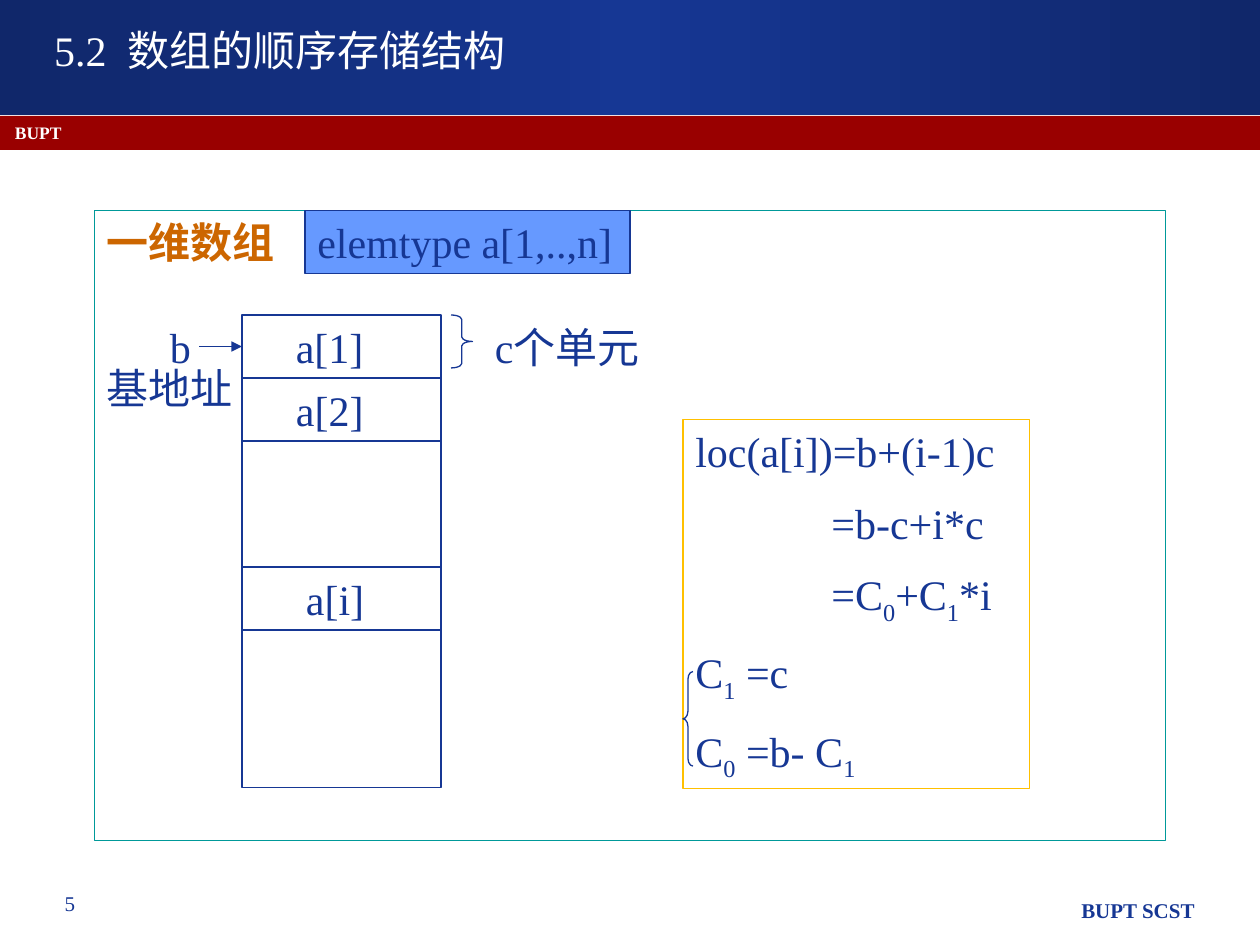
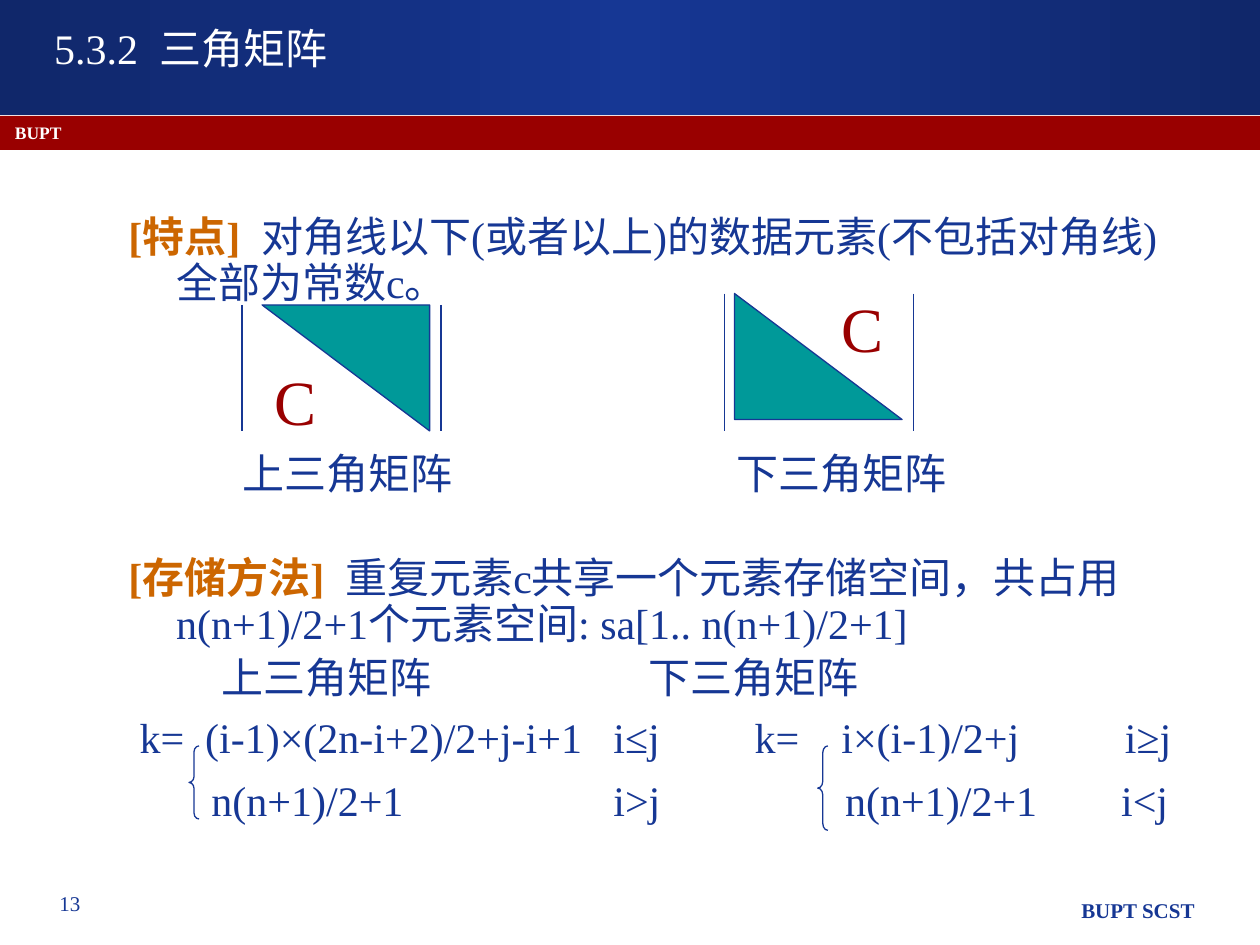
from copy import deepcopy
from lxml import etree
from pptx import Presentation
from pptx.dml.color import RGBColor
from pptx.enum.shapes import MSO_CONNECTOR, MSO_SHAPE
from pptx.enum.text import MSO_ANCHOR, PP_ALIGN
from pptx.oxml.ns import qn
from pptx.util import Inches, Pt

NAVY = RGBColor(0x10, 0x27, 0x6A)
BLUE = RGBColor(0x16, 0x37, 0x94)
RED = RGBColor(0x99, 0x00, 0x00)
TEAL = RGBColor(0x00, 0x99, 0x99)
ORANGE = RGBColor(0xCC, 0x66, 0x00)
GOLD = RGBColor(0xFF, 0xC0, 0x00)
SKY = RGBColor(0x66, 0x99, 0xFF)
WHITE = RGBColor(0xFF, 0xFF, 0xFF)
FONT = "Times New Roman"
RECT, TRI = MSO_SHAPE.RECTANGLE, MSO_SHAPE.RIGHT_TRIANGLE
OPEN, CLOSE = MSO_SHAPE.LEFT_BRACE, MSO_SHAPE.RIGHT_BRACE
LINE = MSO_CONNECTOR.STRAIGHT
LEFT, MID, RIGHT = PP_ALIGN.LEFT, PP_ALIGN.CENTER, PP_ALIGN.RIGHT

# Array slide: text, left, top, width
CELLS = [("a[1]", 2.25, 2.5, 1), ("a[2]", 2.25, 3, 1.08), ("a[i]", 2.33, 4.5, 1.08)]
NOTES = [("b", 1.25, 2.5, 0.67), ("基地址", 0.75, 2.83, 1.58), ("c个单元", 3.83, 2.5, 1.42)]
RULES = [3, 3.5, 4.5, 5]
# Formula lines: left indent, then runs; "_" marks a subscript
LOC = [
    (0, ["loc(a[i])=b+(i-1)c"]),
    (1.08, ["=b-c+i*c"]),
    (1.08, ["=C", "_0", "+C", "_1", "*i"]),
    (0, ["C", "_1", " =c"]),
    (0, ["C", "_0", " =b- C", "_1"]),
]

# Triangle slide: heading, text
POINTS = [
    ("[特点]  ", "对角线以下(或者以上)的数据元素(不包括对角线)全部为常数c。"),
    ("[存储方法]  ",
     "重复元素c共享一个元素存储空间，共占用n(n+1)/2+1个元素空间: sa[1.. n(n+1)/2+1]"),
]
NAMES = [
    ("上三角矩阵", 1.83, 3.5, 2.25), ("下三角矩阵", 5.75, 3.5, 2),
    ("上三角矩阵", 1.66, 5.12, 2.25), ("下三角矩阵", 5.05, 5.12, 2.25),
]
# Formula rows: top, then (text, left, width)
CASES = [
    (5.6, [("k=", 1.01, 0.6), ("(i-1)×(2n-i+2)/2+j-i+1", 1.53, 3.25), ("i≤j", 4.77, 0.7),
           ("k=", 5.89, 0.6), ("i×(i-1)/2+j", 6.58, 1.8), ("i≥j", 8.83, 0.7)]),
    (6.1, [("n(n+1)/2+1", 1.58, 1.9), ("i>j", 4.77, 0.7),
           ("n(n+1)/2+1", 6.61, 1.9), ("i<j", 8.8, 0.7)]),
]
MARKS = [("C", 2.08, 2.83, 0.5), ("C", 6.58, 2.25, 0.67)]
BARS = [(1.92, 2.42), (3.5, 2.42), (5.75, 2.33), (7.25, 2.33)]
AREAS = [(2.08, 2.42, 180), (5.83, 2.33, 0)]
BRACES = [(1.5, 0.58, 0.58), (6.49, 0.67, 0.67)]


def style(run, size=24, color=BLUE, bold=False):
    font = run.font
    font.name, font.size, font.bold = FONT, Pt(size), bold
    font.color.rgb = color


def add_run(para, text, **look):
    run = para.add_run()
    run.text = text
    style(run, **look)
    return run


def shape(slide, kind, box, fill=None, line=None, adj=None):
    item = slide.shapes.add_shape(kind, *map(Inches, box))
    item.shadow.inherit = False
    if fill is None:
        item.fill.background()
    else:
        item.fill.solid()
        item.fill.fore_color.rgb = fill
    if line is None:
        item.line.fill.background()
    else:
        item.line.color.rgb = line
        item.line.width = Pt(0.75)
    if adj is not None:
        item.adjustments[0] = adj
    return item


def link(slide, x1, y1, x2, y2, arrow=False):
    item = slide.shapes.add_connector(LINE, *map(Inches, (x1, y1, x2, y2)))
    item.line.color.rgb = BLUE
    item.line.width = Pt(0.75)
    if arrow:
        etree.SubElement(item.line._get_or_add_ln(), qn("a:tailEnd"), type="triangle")
    etree.SubElement(item._element.spPr, qn("a:effectLst"))


def setup(item):
    """Make the text frame wrap and start at the top left."""
    frame = item.text_frame
    frame.word_wrap = True
    frame.vertical_anchor = MSO_ANCHOR.TOP
    frame.paragraphs[0].alignment = LEFT
    return frame


def label(slide, text, x, y, w, h=0.5, align=LEFT, **look):
    item = slide.shapes.add_textbox(*map(Inches, (x, y, w, h)))
    para = setup(item).paragraphs[0]
    para.alignment = align
    add_run(para, text, **look)


def indent(para, left, first=0):
    props = para._p.get_or_add_pPr()
    props.set("marL", str(Inches(left)))
    props.set("indent", str(Inches(first)))


def next_para(frame, i, gap):
    """Return paragraph i, with a gap above all but the first."""
    if i == 0:
        return frame.paragraphs[0]
    para = frame.add_paragraph()
    para.alignment = LEFT
    para.space_before = Pt(gap)
    return para


def base(deck, title, number, top, height):
    """Add a slide with the bands, footers and title that all slides share."""
    slide = deck.slides.add_slide(deck.slide_layouts[5])
    band = shape(slide, RECT, (0, 0, 10, 0.91))
    band.fill.gradient()
    band.fill.gradient_angle = 0
    stops = band.fill._fill._gradFill.gsLst
    stops.append(deepcopy(stops[0]))
    for stop, (place, color) in zip(band.fill.gradient_stops,
                                    [(0, NAVY), (0.5, BLUE), (1, NAVY)]):
        stop.position = place
        stop.color.rgb = color
    shape(slide, RECT, (0, 0.92, 10, 0.27), RED)
    label(slide, "BUPT SCST", 4.21, 7.07, 5.37, 0.35, RIGHT, size=12, bold=True)
    label(slide, number, 0.12, 7.02, 0.87, 0.35, MID, size=12)
    label(slide, "BUPT", 0.02, 0.92, 9.25, 0.25, size=10, color=WHITE, bold=True)

    head = slide.shapes.title
    slide.shapes._spTree.append(head._element)
    head.left, head.top, head.width, head.height = map(Inches, (0.33, top, 9.25, height))
    frame = head.text_frame
    frame.text = title
    frame.vertical_anchor = MSO_ANCHOR.MIDDLE
    frame.paragraphs[0].alignment = LEFT
    style(frame.paragraphs[0].runs[0], color=WHITE)
    return slide


def array_slide(deck):
    slide = base(deck, "5.2  数组的顺序存储结构", "5", 0.17, 0.45)
    panel = shape(slide, RECT, (0.75, 1.67, 8.5, 5), line=TEAL)
    add_run(setup(panel).paragraphs[0], "一维数组", color=ORANGE, bold=True)

    shape(slide, RECT, (1.92, 2.5, 1.58, 3.75), line=BLUE)
    for y in RULES:
        link(slide, 1.92, y, 3.5, y)
    for note in NOTES + CELLS:
        label(slide, *note)
    link(slide, 1.58, 2.75, 1.92, 2.75, arrow=True)
    shape(slide, CLOSE, (3.58, 2.5, 0.17, 0.42), line=BLUE, adj=0.21)

    frame = setup(shape(slide, RECT, (5.42, 3.33, 2.75, 2.93), line=GOLD))
    for i, (left, parts) in enumerate(LOC):
        para = next_para(frame, i, 12)
        indent(para, left)
        for part in parts:
            run = add_run(para, part.lstrip("_"))
            if part.startswith("_"):
                run.font._element.set("baseline", "-25000")
    shape(slide, OPEN, (5.42, 5.33, 0.08, 0.75), line=BLUE, adj=0.75)

    kind = shape(slide, RECT, (2.42, 1.67, 2.58, 0.5), SKY, BLUE)
    add_run(setup(kind).paragraphs[0], "elemtype a[1,..,n]")


def triangle_slide(deck):
    slide = base(deck, "5.3.2  三角矩阵", "13", 0.21, 0.33)
    body = slide.shapes.add_textbox(*map(Inches, (0.92, 1.67, 8.67, 3.5)))
    frame = setup(body)
    for i, (head, text) in enumerate(POINTS):
        para = next_para(frame, i, 143)
        indent(para, 0.38, -0.38)
        para.line_spacing = 0.9
        add_run(para, head, color=ORANGE, bold=True)
        add_run(para, text)

    for x, y in BARS:
        link(slide, x, y, x, 3.42)
    for x, y, turn in AREAS:
        shape(slide, TRI, (x, y, 1.33, 1), TEAL, BLUE).rotation = turn
    for mark in MARKS:
        label(slide, *mark, h=0.7, size=36, color=RED)
    for name in NAMES:
        label(slide, *name)
    for y, parts in CASES:
        for text, x, w in parts:
            label(slide, text, x, y, w)
    for x, h, adj in BRACES:
        shape(slide, OPEN, (x, 5.92, 0.08, h), line=BLUE, adj=adj)


def main():
    deck = Presentation()
    deck.slide_width, deck.slide_height = Inches(10), Inches(7.5)
    array_slide(deck)
    triangle_slide(deck)
    deck.save("out.pptx")


if __name__ == "__main__":
    main()
